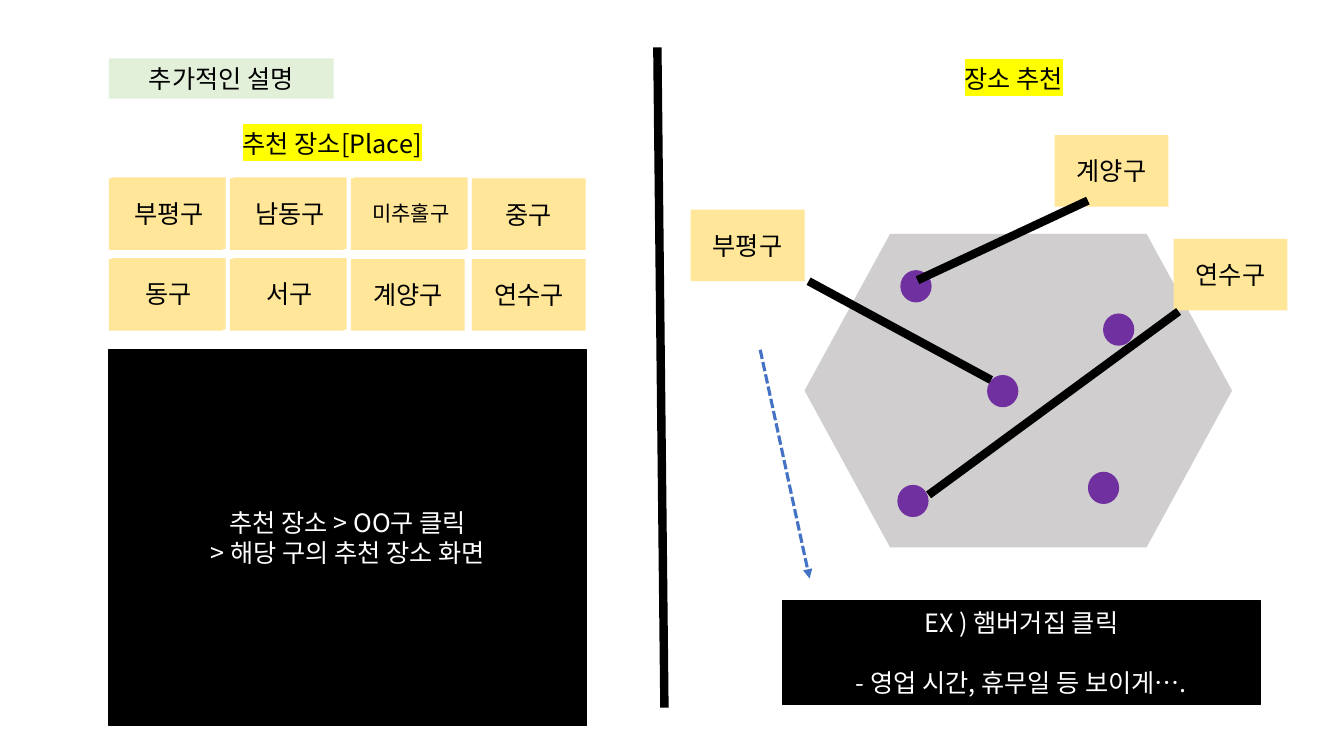
import pptx
import pptx.util
import pptx.dml.color
import pptx.enum.dml
import pptx.enum.shapes
import pptx.enum.text
import pptx.oxml
import pptx.oxml.ns
from dataclasses import dataclass

Inches, Pt = pptx.util.Inches, pptx.util.Pt
SHAPE = pptx.enum.shapes.MSO_SHAPE


@dataclass(frozen=True)
class Theme:
    font: str = "Noto Sans CJK KR"
    size: float = 18
    small: float = 15
    ink: str = "000000"
    paper: str = "FFFFFF"
    mint: str = "E2F0D9"
    card: str = "FFE699"
    marker: str = "FFFF00"
    region: str = "D0CECE"
    spot: str = "7030A0"
    arrow: str = "4472C4"
    thick: float = 6
    thin: float = 2.25


THEME = Theme()

# Content: lengths in inches
TITLE = ("추가적인 설명", (1.08, 0.58, 2.23, 0.4))
HEADINGS = [
    ("장소 추천", (8.94, 0.58, 2.23, 0.4)),
    ("추천 장소[Place]", (2.18, 1.22, 2.23, 0.4)),
]
# District name and whether a second sheet lies on its card
DISTRICTS = [
    [("부평구", True), ("남동구", True), ("미추홀구", True), ("중구", False)],
    [("동구", True), ("서구", True), ("계양구", False), ("연수구", False)],
]
GRID_LEFT, GRID_TOP, COLUMN_STEP, ROW_STEP = 1.08, 1.77, 1.2, 0.8
SHEET_SHIFT = (0.03, -0.01)
CARD_SIZE = (1.13, 0.71)
PANELS = [
    (["추천 장소 > OO구 클릭", "> 해당 구의 추천 장소 화면"], (1.08, 3.47, 4.74, 3.73), 0),
    (["EX ) 햄버거집 클릭", "- 영업 시간, 휴무일 등 보이게…."], (7.76, 5.96, 4.74, 1.03), 21.6),
]
REGION = (7.98, 2.32, 4.24, 3.11)
SPOT_SIZE = (0.31, 0.32)
SPOTS = [(8.93, 2.68), (9.79, 3.72), (10.94, 3.11), (10.79, 4.68), (8.9, 4.81)]
MAP_LABELS = [("부평구", (6.85, 2.08)), ("계양구", (10.46, 1.34)), ("연수구", (11.64, 2.37))]
DIVIDER = ((6.52, 0.47), (6.59, 7.02))
POINTERS = [
    ((8.02, 2.79), (9.83, 3.77)),
    ((9.21, 4.91), (11.69, 3.09)),
    ((9.1, 2.78), (10.79, 1.99)),
]
FLOW_ARROW = ((7.54, 3.47), (8.03, 5.74))


def rgb(value):
    return pptx.dml.color.RGBColor.from_string(value)


def apply(target, values):
    for name, value in values.items():
        setattr(target, name, value)


def add_xml(parent, tag, **attributes):
    element = pptx.oxml.parse_xml(f"<a:{tag} {pptx.oxml.ns.nsdecls('a')}/>")
    for name, value in attributes.items():
        element.set(name, value)
    parent.append(element)
    return element


def write(box, lines, color=THEME.ink, size=THEME.size, marker=None, gap=0):
    frame = box.text_frame
    apply(frame, {"word_wrap": True, "vertical_anchor": pptx.enum.text.MSO_ANCHOR.MIDDLE,
                  "auto_size": pptx.enum.text.MSO_AUTO_SIZE.NONE})
    for index, line in enumerate(lines):
        para = frame.add_paragraph() if index else frame.paragraphs[0]
        para.alignment = pptx.enum.text.PP_ALIGN.CENTER
        para.space_before = Pt(gap if index else 0)
        span = para.add_run()
        span.text = line
        span.font.size = Pt(size)
        span.font.color.rgb = rgb(color)
        properties = span.font._element
        if marker:
            add_xml(add_xml(properties, "highlight"), "srgbClr", val=marker)
        for script in ("latin", "ea"):
            add_xml(properties, script, typeface=THEME.font)


def add_box(page, bounds, fill, kind=SHAPE.RECTANGLE, line=None):
    box = page.shapes.add_shape(kind, *map(Inches, bounds))
    box.shadow.inherit = False
    box.fill.solid()
    box.fill.fore_color.rgb = rgb(fill)
    if line:
        box.line.color.rgb = rgb(line)
        box.line.width = Pt(1)
    else:
        box.line.fill.background()
    return box


def add_line(page, ends, color=THEME.ink, width=THEME.thick):
    start, end = ends
    line = page.shapes.add_connector(pptx.enum.shapes.MSO_CONNECTOR.STRAIGHT,
                                     *map(Inches, start + end))
    line.line.color.rgb = rgb(color)
    line.line.width = Pt(width)
    add_xml(line._element.spPr, "effectLst")
    return line


def add_districts(page):
    # Cards first, so that the loose sheets lie above them
    sheets = []
    for row, names in enumerate(DISTRICTS):
        for column, (name, has_sheet) in enumerate(names):
            left = GRID_LEFT + column * COLUMN_STEP
            top = GRID_TOP + row * ROW_STEP
            card = add_box(page, (left, top, *CARD_SIZE), THEME.card)
            if has_sheet:
                sheets.append((name, left + SHEET_SHIFT[0], top + SHEET_SHIFT[1]))
            else:
                write(card, [name])
    for name, left, top in sheets:
        sheet = add_box(page, (left, top, *CARD_SIZE), THEME.card)
        write(sheet, [name], size=THEME.small if len(name) > 3 else THEME.size)


def add_map(page):
    add_box(page, REGION, THEME.region, SHAPE.FLOWCHART_PREPARATION)
    for spot in SPOTS:
        add_box(page, (*spot, *SPOT_SIZE), THEME.spot, SHAPE.OVAL)
    for name, corner in MAP_LABELS:
        write(add_box(page, (*corner, *CARD_SIZE), THEME.card), [name])
    for ends in POINTERS:
        add_line(page, ends)


def main():
    deck = pptx.Presentation()
    apply(deck, {"slide_width": Inches(13.33), "slide_height": Inches(7.5)})
    page = deck.slides.add_slide(deck.slide_layouts[5])

    # Title and headings
    text, bounds = TITLE
    title = page.shapes.title
    apply(title, dict(zip(("left", "top", "width", "height"), map(Inches, bounds))))
    title.fill.solid()
    title.fill.fore_color.rgb = rgb(THEME.mint)
    write(title, [text])
    for text, bounds in HEADINGS:
        write(add_box(page, bounds, THEME.paper), [text], marker=THEME.marker)

    # Two halves
    add_line(page, DIVIDER)
    add_districts(page)
    add_map(page)

    # Dashed arrow to the example
    flow = add_line(page, FLOW_ARROW, THEME.arrow, THEME.thin)
    flow.line.dash_style = pptx.enum.dml.MSO_LINE.SQUARE_DOT
    add_xml(flow.line._get_or_add_ln(), "tailEnd", type="triangle")

    # Black explanation panels
    for lines, bounds, gap in PANELS:
        panel = add_box(page, bounds, THEME.ink, line=THEME.ink)
        write(panel, lines, color=THEME.paper, gap=gap)

    deck.save("out.pptx")


if __name__ == "__main__":
    main()
